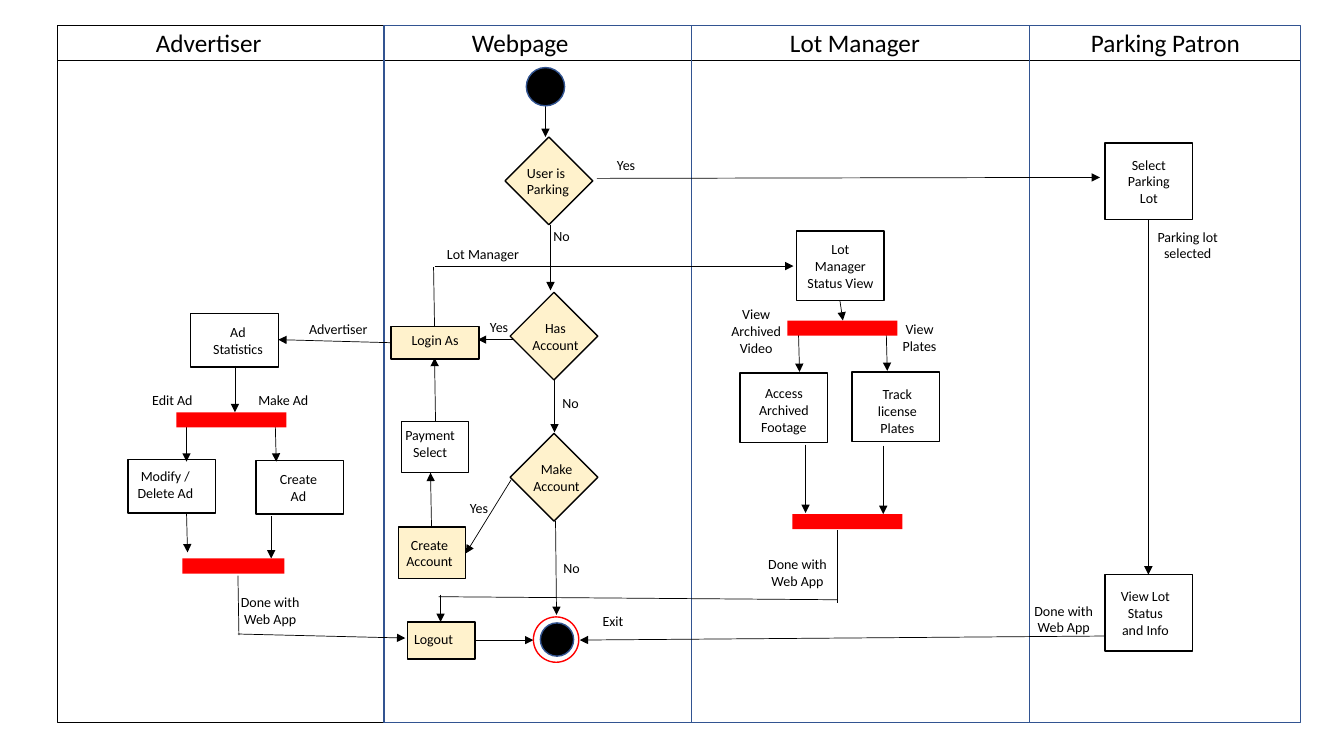
from pptx import Presentation
from pptx.dml.color import RGBColor
from pptx.enum.shapes import MSO_CONNECTOR, MSO_SHAPE
from pptx.enum.text import MSO_ANCHOR, PP_ALIGN
from pptx.oxml.ns import qn
from pptx.util import Inches, Pt
from lxml import etree

BLACK = RGBColor(0, 0, 0)
BLUE = RGBColor(0x32, 0x54, 0x91)
CREAM = RGBColor(0xFF, 0xF2, 0xCC)
RED = RGBColor(0xFF, 0, 0)
RECT, OVAL, DIAMOND = MSO_SHAPE.RECTANGLE, MSO_SHAPE.OVAL, MSO_SHAPE.DIAMOND
STRAIGHT = MSO_CONNECTOR.STRAIGHT
LEFT, CENTER = PP_ALIGN.LEFT, PP_ALIGN.CENTER
MIDDLE = MSO_ANCHOR.MIDDLE
FONT = "Calibri"

# All lengths are counted in cells of a square grid, ten cells to the inch.
CELL = Inches(0.1)
LANE_EDGES = [5.7, 38.1, 68.6, 102.1, 129]
LANE_TOP, LANE_H, HEADER_BOTTOM = 2.5, 69.2, 6
LANES = [("Advertiser", 20.7), ("Webpage", 51.6),
         ("Lot Manager", 84.8), ("Parking Patron", 115.6)]  # title, centre
TITLE_W, LABEL_W, LABEL_H = 24, 12, 4
STEP_W, SMALL_W, SMALL_H = 8.7, 6.7, 5.1
BAR_H = 1.5

# left, top, width, height, fill, text lines, text shift (x, y)
STEPS = [
    (109.6, 14.2, STEP_W, 7.6, None, "Select\nParking\nLot", 0, 0),
    (109.6, 57, STEP_W, 7.6, None, "View Lot\nStatus\nand Info", -0.35, 0),
    (38.8, 32.4, STEP_W, 3.2, CREAM, "Login As", 0, -0.25),
    (39.8, 41.8, SMALL_W, SMALL_H, None, "Payment\nSelect", -0.5, -0.35),
    (39.5, 52.3, SMALL_W, SMALL_H, CREAM, "Create\nAccount", -0.25, 0),
    (40.4, 61.7, SMALL_W, 3.7, CREAM, "Logout", -0.75, -0.2),
    (18.9, 31.1, STEP_W, 5.3, None, "Ad\nStatistics", 0.35, 0),
    (12.7, 45.6, STEP_W, 5.3, None, "Modify /\nDelete Ad", -0.65, -0.15),
    (25.4, 45.7, STEP_W, 5.3, None, "Create\nAd", -0.15, 0),
    (79, 22.9, STEP_W, 6.9, None, "Lot\nManager\nStatus View", 0, 0),
    (73.4, 37, STEP_W, 6.9, None, "Access\nArchived\nFootage", 0, 0.2),
    (84.5, 36.9, STEP_W, 6.9, None, "Track\nlicense\nPlates", 0.15, 0.4),
]

# centre x, centre y, text lines, text shift x, alignment
DECISIONS = [
    (54.45, 17.95, "User is\nParking", -0.35, LEFT),
    (54.95, 33.35, "Has\nAccount", 0.15, CENTER),
    (54.95, 47.35, "Make\nAccount", 0.25, CENTER),
]

BARS = [(17.5, 40.9, 10.9), (18.1, 55.4, 10.1),
        (78.1, 31.8, 10.9), (78.6, 51, 10.9)]  # left, top, width

# centre x, centre y, text lines
LABELS = [
    (62.1, 16.35, "Yes"), (55.7, 23.45, "No"), (47.9, 25.15, "Lot Manager"),
    (49.5, 32.45, "Yes"), (33.55, 32.65, "Advertiser"), (56.6, 39.95, "No"),
    (47.5, 50.35, "Yes"), (56.7, 56.35, "No"), (60.8, 61.65, "Exit"),
    (17.1, 39.65, "Edit Ad"), (28.1, 39.65, "Make Ad"),
    (26.8, 60.6, "Done with\nWeb App"), (79.1, 56.8, "Done with\nWeb App"),
    (105.5, 61.4, "Done with\nWeb App"), (117.8, 24.3, "Parking lot\nselected"),
    (75, 32.85, "View\nArchived\nVideo"), (91.2, 33.5, "View\nPlates"),
]

# from x, from y, to x, to y
ARROWS = [
    # Webpage lane
    (54.1, 10.4, 54.1, 13.6), (54.6, 22.3, 54.6, 28.8), (55, 37.7, 55, 42.9),
    (55.1, 51.7, 55.2, 61), (50.9, 33.7, 47.4, 33.7), (50.7, 47.6, 46.2, 54.9),
    (42.8, 52.3, 42.7, 46.9), (43.2, 41.8, 43.1, 35.5), (47, 63.5, 52.9, 63.5),
    # between lanes
    (59.2, 17.7, 109.1, 17.6), (109.5, 63.1, 57.5, 63.5),
    (38.8, 34, 27.6, 33.7), (43.1, 26.4, 78.7, 26.4),
    (23.6, 62.9, 40.2, 63.3), (43.7, 59, 43.7, 61.7),
    # Advertiser lane
    (23.3, 36.3, 23.3, 40.9), (18.5, 41.9, 18.5, 45.8), (27.3, 42, 27.4, 45.8),
    (18.5, 50.9, 18.6, 54.8), (26.9, 51.2, 26.9, 55.4),
    # Lot Manager lane
    (83.3, 29.8, 83.6, 31.8), (79.2, 33.1, 79.3, 36.9), (87.9, 32.9, 88, 36.8),
    (79.9, 44.1, 79.9, 50.9), (87.6, 44.2, 87.6, 51),
    # Parking Patron lane
    (113.9, 21.8, 113.9, 57),
]
PLAIN_LINES = [(43.1, 32.4, 43, 26.5), (23.7, 63, 23.6, 57.1),
               (83.1, 52.6, 83.1, 59.8), (83.1, 59.5, 43.5, 59.2)]


def cells(*counts):
    """Turn counts of grid cells into lengths."""
    return [round(n * CELL) for n in counts]


def write(sp, text, size=10, align=CENTER, dx=0, dy=0):
    """Write lines into the middle of a shape, shifted by dx and dy cells."""
    tf = sp.text_frame
    tf.word_wrap = False
    tf.vertical_anchor = MIDDLE
    tf.margin_left, tf.margin_right, tf.margin_top, tf.margin_bottom = cells(
        max(2 * dx, 0), max(-2 * dx, 0), max(2 * dy, 0), max(-2 * dy, 0))
    p = tf.paragraphs[0]
    p.alignment = align
    for i, line in enumerate(text.split("\n")):
        if i:
            p.add_line_break()
        r = p.add_run()
        r.text = line
        r.font.size, r.font.name = Pt(size), FONT
        r.font.color.rgb = BLACK


def add_outline(s, kind, x, y, w, h, fill=None, line=BLACK):
    """Add a preset shape with an optional fill and line."""
    sp = s.shapes.add_shape(kind, *cells(x, y, w, h))
    sp.shadow.inherit = False
    if fill is None:
        sp.fill.background()
    else:
        sp.fill.solid()
        sp.fill.fore_color.rgb = fill
    if line is None:
        sp.line.fill.background()
    else:
        sp.line.color.rgb = line
        sp.line.width = Pt(1)
    return sp


def add_label(s, x, y, text, size=10, w=LABEL_W):
    """Add free text centred on a point."""
    box = s.shapes.add_textbox(*cells(x - w / 2, y - LABEL_H / 2, w, LABEL_H))
    write(box, text, size)


def add_line(s, ends, arrow=False, width=0.5):
    """Add a straight black line, with an arrowhead at its end if wanted."""
    cx = s.shapes.add_connector(STRAIGHT, *cells(*ends))
    cx.line.color.rgb = BLACK
    cx.line.width = Pt(width)
    if arrow:
        etree.SubElement(cx.line._get_or_add_ln(), qn("a:tailEnd"), type="triangle")
    etree.SubElement(cx._element.spPr, qn("a:effectLst"))


def add_lanes(s):
    """Draw the four swimlanes, their titles and the header rule."""
    add_line(s, (LANE_EDGES[0], HEADER_BOTTOM, LANE_EDGES[-1], HEADER_BOTTOM), width=1)
    for i, (title, center) in enumerate(LANES):
        left, right = LANE_EDGES[i:i + 2]
        add_outline(s, RECT, left, LANE_TOP, right - left, LANE_H,
                    line=BLUE if i else BLACK)
        add_label(s, center, 4.2, title, 18, TITLE_W)


def main():
    """Build the activity diagram slide."""
    prs = Presentation()
    prs.slide_width, prs.slide_height = Inches(13.33), Inches(7.5)
    s = prs.slides.add_slide(prs.slide_layouts[6])
    add_lanes(s)
    for ends in ARROWS:
        add_line(s, ends, arrow=True)
    for ends in PLAIN_LINES:
        add_line(s, ends)
    for x, y, w, h, fill, text, dx, dy in STEPS:
        write(add_outline(s, RECT, x, y, w, h, fill), text, dx=dx, dy=dy)
    for x, y, text, dx, align in DECISIONS:
        sp = add_outline(s, DIAMOND, x - STEP_W / 2, y - STEP_W / 2,
                         STEP_W, STEP_W, CREAM)
        write(sp, text, align=align, dx=dx)
    for x, y, w in BARS:
        add_outline(s, RECT, x, y, w, BAR_H, RED, None)
    add_outline(s, OVAL, 52.2, 6.7, 3.8, 3.8, BLACK, BLUE)
    add_outline(s, OVAL, 52.9, 61.2, 4.5, 4.5, line=RED)
    add_outline(s, OVAL, 53.6, 61.8, 3.3, 3.3, BLACK, BLUE)
    for x, y, text in LABELS:
        add_label(s, x, y, text)
    prs.save("out.pptx")


main()
